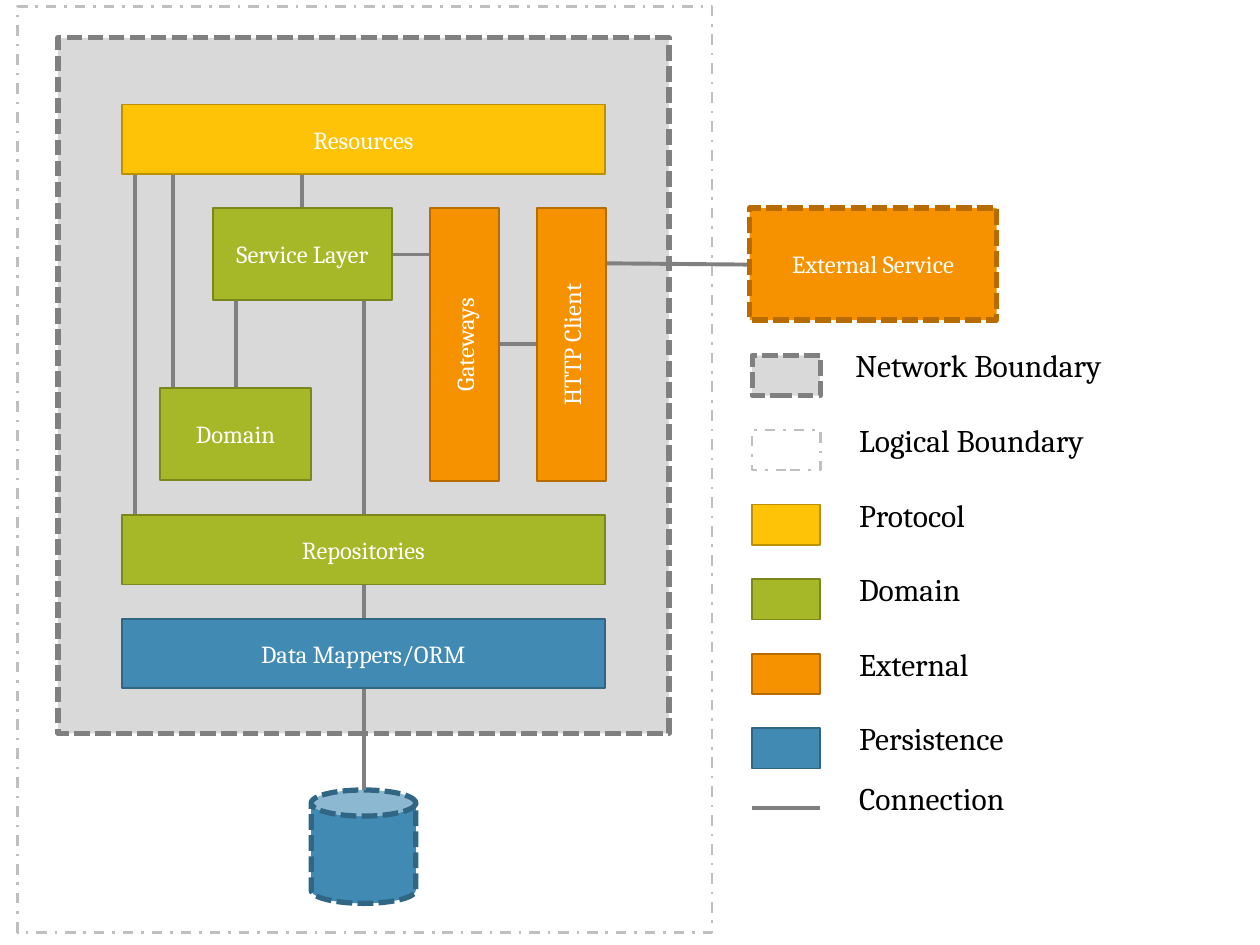
from pptx import Presentation
from pptx.dml.color import RGBColor
from pptx.enum import dml, shapes, text
from pptx.oxml.ns import qn
from pptx.util import Inches, Pt

FONT = "Cambria"
WHITE = RGBColor(0xFF, 0xFF, 0xFF)
BLACK = RGBColor(0, 0, 0)
GRAY = RGBColor(0x80, 0x80, 0x80)
PALE_GRAY = RGBColor(0xD9, 0xD9, 0xD9)
MID_GRAY = RGBColor(0xBF, 0xBF, 0xBF)
YELLOW = RGBColor(0xFE, 0xC3, 0x06)
DARK_YELLOW = RGBColor(0xBC, 0x90, 0x04)
GREEN = RGBColor(0xA6, 0xB7, 0x27)
DARK_GREEN = RGBColor(0x7B, 0x87, 0x1D)
ORANGE = RGBColor(0xF6, 0x92, 0x00)
DARK_ORANGE = RGBColor(0xB6, 0x6C, 0x00)
BLUE = RGBColor(0x41, 0x8A, 0xB3)
DARK_BLUE = RGBColor(0x30, 0x66, 0x84)

DASHED = dml.MSO_LINE.SQUARE_DOT
DASH_DOT = dml.MSO_LINE.DASH_DOT
RECT = shapes.MSO_SHAPE.RECTANGLE
CAN = shapes.MSO_SHAPE.CAN

# Each style: fill, outline, outline width, dash
NETWORK = (PALE_GRAY, GRAY, 3, DASHED)
LOGICAL = (None, MID_GRAY, 1.5, DASH_DOT)
PROTOCOL = (YELLOW, DARK_YELLOW, 1, None)
DOMAIN = (GREEN, DARK_GREEN, 1, None)
EXTERNAL = (ORANGE, DARK_ORANGE, 1, None)
EXTERNAL_NETWORK = (ORANGE, DARK_ORANGE, 3, DASHED)
PERSISTENCE = (BLUE, DARK_BLUE, 1, None)
DATABASE = (BLUE, DARK_BLUE, 3, DASHED)


def write(frame, words, size, color):
    para = frame.paragraphs[0]
    para.text = words
    para.font.name = FONT
    para.font.size = Pt(size)
    para.font.color.rgb = color
    return para


def add_box(page, place, style, words="", kind=RECT, rotation=0):
    box = page.shapes.add_shape(kind, *map(Inches, place))
    box.shadow.inherit = False
    box.rotation = rotation
    fill, outline, width, dash = style
    if fill is None:
        box.fill.background()
    else:
        box.fill.solid()
        box.fill.fore_color.rgb = fill
    box.line.color.rgb = outline
    box.line.width = Pt(width)
    if dash is not None:
        box.line.dash_style = dash
    if words:
        box.text_frame.vertical_anchor = text.MSO_ANCHOR.MIDDLE
        para = write(box.text_frame, words, 14, WHITE)
        para.alignment = text.PP_ALIGN.CENTER


def add_connection(page, *ends):
    line = page.shapes.add_connector(shapes.MSO_CONNECTOR.STRAIGHT, *map(Inches, ends))
    line.line.color.rgb = GRAY
    line.line.width = Pt(2.25)
    properties = line._element.spPr
    properties.append(properties.makeelement(qn("a:effectLst"), {}))


def add_label(page, left, top, width, words):
    box = page.shapes.add_textbox(*map(Inches, (left, top, width, 0.56)))
    box.text_frame.word_wrap = False
    box.text_frame.auto_size = text.MSO_AUTO_SIZE.SHAPE_TO_FIT_TEXT
    write(box.text_frame, words, 18, BLACK)


def add_architecture(page):
    # Boundaries and database
    add_box(page, (0.14, 0.05, 5.51, 7.35), LOGICAL)
    add_box(page, (0.46, 0.3, 4.85, 5.52), NETWORK)
    add_box(page, (2.47, 6.27, 0.83, 0.9), DATABASE, kind=CAN)

    # Connections
    for ends in (
        (1.07, 1.37, 1.07, 4.09),  # resources to repositories
        (1.37, 1.37, 1.37, 3.11),  # resources to domain
        (2.4, 1.37, 2.4, 1.65),    # resources to service layer
        (1.87, 2.39, 1.87, 3.08),  # service layer to domain
        (2.89, 2.39, 2.89, 4.09),  # service layer to repositories
        (2.89, 4.64, 2.89, 4.91),  # repositories to mappers
        (2.89, 5.45, 2.89, 6.27),  # mappers to database
        (3.11, 2.02, 3.41, 2.02),  # service layer to gateways
        (3.96, 2.73, 4.26, 2.73),  # gateways to client
        (4.81, 2.09, 5.95, 2.1),   # client to external service
    ):
        add_connection(page, *ends)

    # Full-width layers
    for top, style, words in (
        (0.83, PROTOCOL, "Resources"),
        (4.09, DOMAIN, "Repositories"),
        (4.91, PERSISTENCE, "Data Mappers/ORM"),
    ):
        add_box(page, (0.97, top, 3.83, 0.55), style, words)

    # Inner components
    add_box(page, (1.69, 1.65, 1.42, 0.73), DOMAIN, "Service Layer")
    add_box(page, (1.27, 3.08, 1.2, 0.73), DOMAIN, "Domain")
    for left, words in ((2.6, "Gateways"), (3.45, "HTTP Client")):
        add_box(page, (left, 2.46, 2.17, 0.55), EXTERNAL, words, rotation=270)
    add_box(page, (5.95, 1.65, 1.96, 0.89), EXTERNAL_NETWORK, "External Service")


def add_legend(page):
    entries = (
        (NETWORK, "Network Boundary", 6.69, 3.19),
        (LOGICAL, "Logical Boundary", 6.72, 2.98),
        (PROTOCOL, "Protocol", 6.72, 1.56),
        (DOMAIN, "Domain", 6.72, 1.47),
        (EXTERNAL, "External", 6.72, 1.59),
        (PERSISTENCE, "Persistence", 6.72, 1.97),
    )
    first, last = 2.82, 5.78
    step = (last - first) / (len(entries) - 1)
    for row, (style, words, left, width) in enumerate(entries):
        top = first + row * step
        add_box(page, (5.97, top, 0.54, 0.32), style)
        add_label(page, left, top - 0.12, width, words)
    add_connection(page, 6.51, 6.41, 5.97, 6.41)
    add_label(page, 6.72, 6.13, 2, "Connection")


def main():
    deck = Presentation()
    deck.slide_width, deck.slide_height = Inches(10), Inches(7.5)
    page = deck.slides.add_slide(deck.slide_layouts[6])
    add_architecture(page)
    add_legend(page)
    deck.save("out.pptx")


main()
